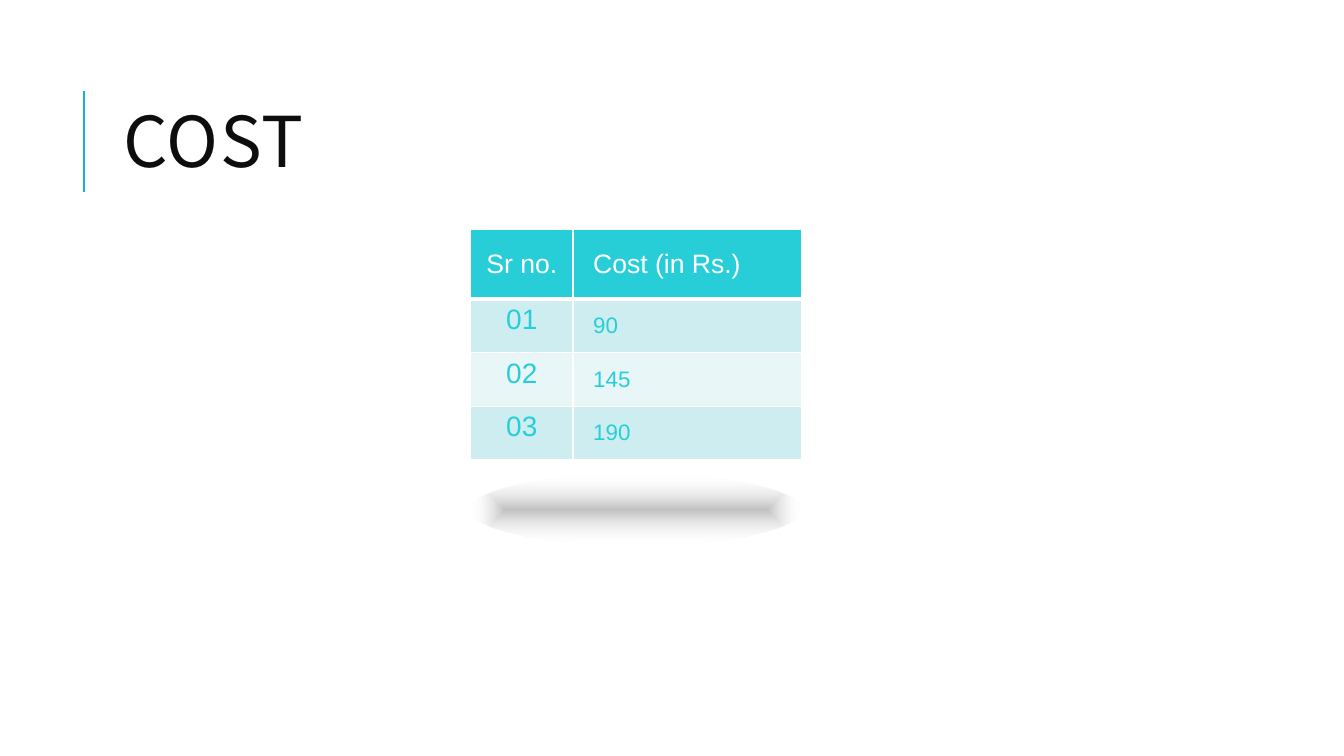
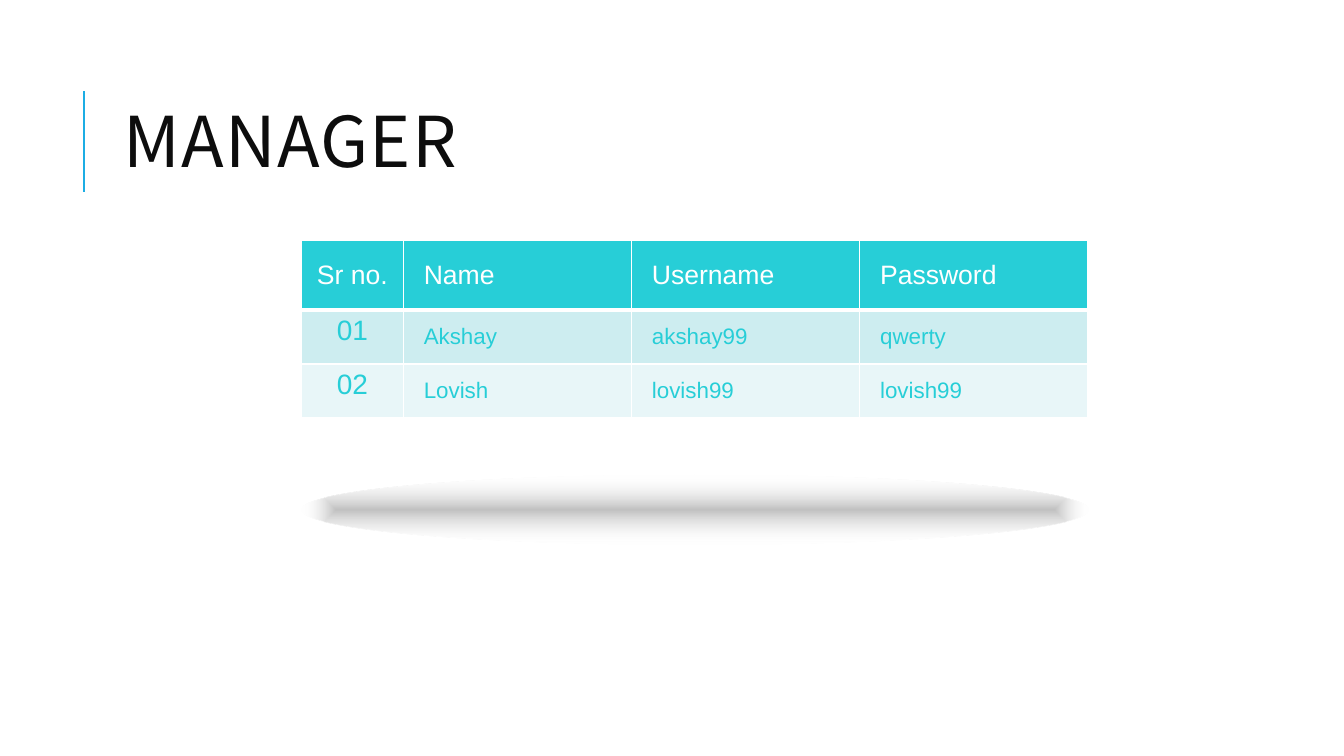
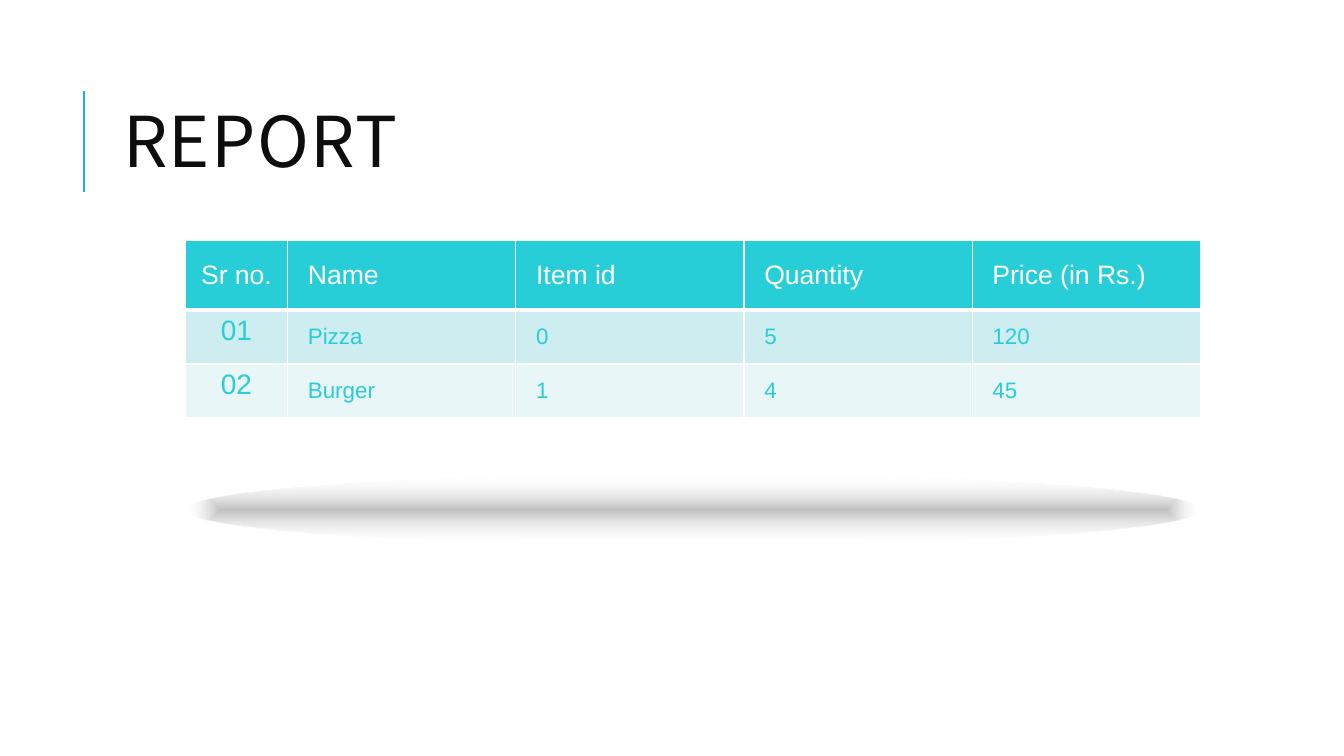
"""Build three slides, each with a titled, numbered table above a soft shadow."""
import dataclasses

import lxml.etree
import pptx
import pptx.dml.color
import pptx.enum.dml
import pptx.enum.shapes
import pptx.enum.text
import pptx.oxml
import pptx.oxml.ns
import pptx.util

Cm, Pt = pptx.util.Cm, pptx.util.Pt
qn = pptx.oxml.ns.qn
ALIGN = pptx.enum.text.PP_ALIGN
MIDDLE = pptx.enum.text.MSO_ANCHOR.MIDDLE
TOP = pptx.enum.text.MSO_ANCHOR.TOP

SLIDES = [
    {"title": "COST", "left": 11.86, "top": 5.79,
     "headings": ["Cost (in Rs.)"],
     "records": [["90"], ["145"], ["190"]]},
    {"title": "MANAGER", "left": 7.59, "top": 6.07,
     "headings": ["Name", "Username", "Password"],
     "records": [["Akshay", "akshay99", "qwerty"],
                 ["Lovish", "lovish99", "lovish99"]]},
    {"title": "REPORT", "left": 4.67, "top": 6.07,
     "headings": ["Name", "Item id", "Quantity", "Price (in Rs.)"],
     "records": [["Pizza", "0", "5", "120"],
                 ["Burger", "1", "4", "45"]]},
]


@dataclasses.dataclass(frozen=True)
class Theme:
    """Colours, fonts and type sizes."""
    title_font: str = "Noto Sans CJK KR"
    table_font: str = "Arial"
    title_size: int = 50
    heading_size: int = 19
    serial_size: int = 20
    value_size: int = 16
    ink: str = "0D0D0D"
    rule: str = "1CADE4"
    accent: str = "27CED7"
    bands: tuple = ("CDEDF0", "E8F6F8")
    white: str = "FFFFFF"
    shadow: str = "808080"


THEME = Theme()
SERIAL_WIDTH, VALUE_WIDTH = 2.58, 5.75
HEADING_HEIGHT, RECORD_HEIGHT = 1.75, 1.35
SHADOW_TOP, SHADOW_HEIGHT = 11.97, 1.75


def rgb(code):
    """Return a colour for a hex code."""
    return pptx.dml.color.RGBColor.from_string(code)


def write(frame, text, *, font, size, color, align=ALIGN.LEFT, line_spacing=None, tracking=None):
    """Put formatted text in a frame."""
    paragraph = frame.paragraphs[0]
    paragraph.alignment = align
    if line_spacing:
        paragraph.line_spacing = line_spacing
    run = paragraph.add_run()
    run.text = text
    run.font.name, run.font.size, run.font.bold = font, Pt(size), False
    run.font.color.rgb = rgb(color)
    if tracking:
        run.font._element.set("spc", str(tracking * 100))


def set_borders(cell, bottom):
    """Draw white cell borders, with a bottom border of the given points."""
    properties = cell._tc.get_or_add_tcPr()
    for side, width in (("L", 1), ("R", 1), ("T", 1), ("B", bottom)):
        border = lxml.etree.SubElement(properties, qn(f"a:ln{side}"), w=str(Pt(width)))
        fill = lxml.etree.SubElement(border, qn("a:solidFill"))
        lxml.etree.SubElement(fill, qn("a:srgbClr"), val=THEME.white)


def set_up_layout(layout):
    """Place the title that all slides inherit."""
    title = layout.placeholders[0]
    title.left, title.top, title.width, title.height = Cm(2.85), Cm(1.63), Cm(27), Cm(4.17)
    title.text_frame.vertical_anchor = MIDDLE
    title.text_frame.auto_size = pptx.enum.text.MSO_AUTO_SIZE.NONE


def add_title_rule(slide):
    """Draw the title rule and move it to the shared layout."""
    rule = slide.shapes.add_connector(
        pptx.enum.shapes.MSO_CONNECTOR.STRAIGHT, Cm(2.12), Cm(4.83), Cm(2.12), Cm(2.29))
    rule.line.color.rgb, rule.line.width = rgb(THEME.rule), Pt(1.5)
    lxml.etree.SubElement(rule.element.spPr, qn("a:effectLst"))
    rule.element.xpath(".//p:cNvPr")[0].set("id", "99")
    slide.slide_layout.shapes.element.append(rule.element)


def add_numbered_table(slide, left, top, headings, records):
    """Add the table with its serial column and return its width."""
    rows = [["Sr no.", *headings]]
    rows += [[f"{number:02d}", *record] for number, record in enumerate(records, 1)]
    widths = [SERIAL_WIDTH] + [VALUE_WIDTH] * len(headings)
    heights = [HEADING_HEIGHT] + [RECORD_HEIGHT] * len(records)
    table = slide.shapes.add_table(len(rows), len(widths), Cm(left), Cm(top),
                                   Cm(sum(widths)), Cm(sum(heights))).table
    for column, width in zip(table.columns, widths):
        column.width = Cm(width)
    for row, height in zip(table.rows, heights):
        row.height = Cm(height)
    for r, row in enumerate(rows):
        for c, text in enumerate(row):
            cell = table.cell(r, c)
            heading, serial = r == 0, c == 0
            set_borders(cell, 3 if heading else 1)
            cell.fill.solid()
            cell.fill.fore_color.rgb = rgb(THEME.accent if heading else THEME.bands[(r - 1) % 2])
            cell.vertical_anchor = TOP if serial and not heading else MIDDLE
            if not serial:
                cell.margin_left = Cm(0.51)
            body_size = THEME.serial_size if serial else THEME.value_size
            write(cell.text_frame, text, font=THEME.table_font,
                  size=THEME.heading_size if heading else body_size,
                  color=THEME.white if heading else THEME.accent,
                  align=ALIGN.CENTER if serial else ALIGN.LEFT)
    return sum(widths)


def add_table_shadow(slide, left, width):
    """Add the ellipse that fades from grey at its centre."""
    shadow = slide.shapes.add_shape(pptx.enum.shapes.MSO_SHAPE.OVAL, Cm(left), Cm(SHADOW_TOP),
                                    Cm(width), Cm(SHADOW_HEIGHT))
    shadow.shadow.inherit = False
    shadow.line.fill.background()
    shadow.fill.gradient()
    gradient = shadow.element.spPr.find(qn("a:gradFill"))
    gradient.remove(gradient.find(qn("a:lin")))
    for stop, color, opacity in zip(shadow.fill.gradient_stops,
                                    (THEME.shadow, THEME.white), (49, 0)):
        stop.color.rgb = rgb(color)
    for tint, opacity in zip(gradient.iter(qn("a:srgbClr")), (49, 0)):
        lxml.etree.SubElement(tint, qn("a:alpha"), val=str(opacity * 1000))
    fade = lxml.etree.SubElement(gradient, qn("a:path"), {"path": "shape"})
    lxml.etree.SubElement(fade, qn("a:fillToRect"), dict.fromkeys("ltrb", "50000"))


def build():
    """Build and save the presentation."""
    deck = pptx.Presentation()
    deck.slide_width, deck.slide_height = Cm(33.87), Cm(19.05)
    layout = deck.slide_layouts[5]
    set_up_layout(layout)
    for number, content in enumerate(SLIDES):
        slide = deck.slides.add_slide(layout)
        if number == 0:
            add_title_rule(slide)
        write(slide.shapes.title.text_frame, content["title"], font=THEME.title_font,
              size=THEME.title_size, color=THEME.ink, line_spacing=0.8, tracking=1)
        width = add_numbered_table(slide, content["left"], content["top"],
                                   content["headings"], content["records"])
        add_table_shadow(slide, content["left"], width)
    deck.save("out.pptx")


build()
